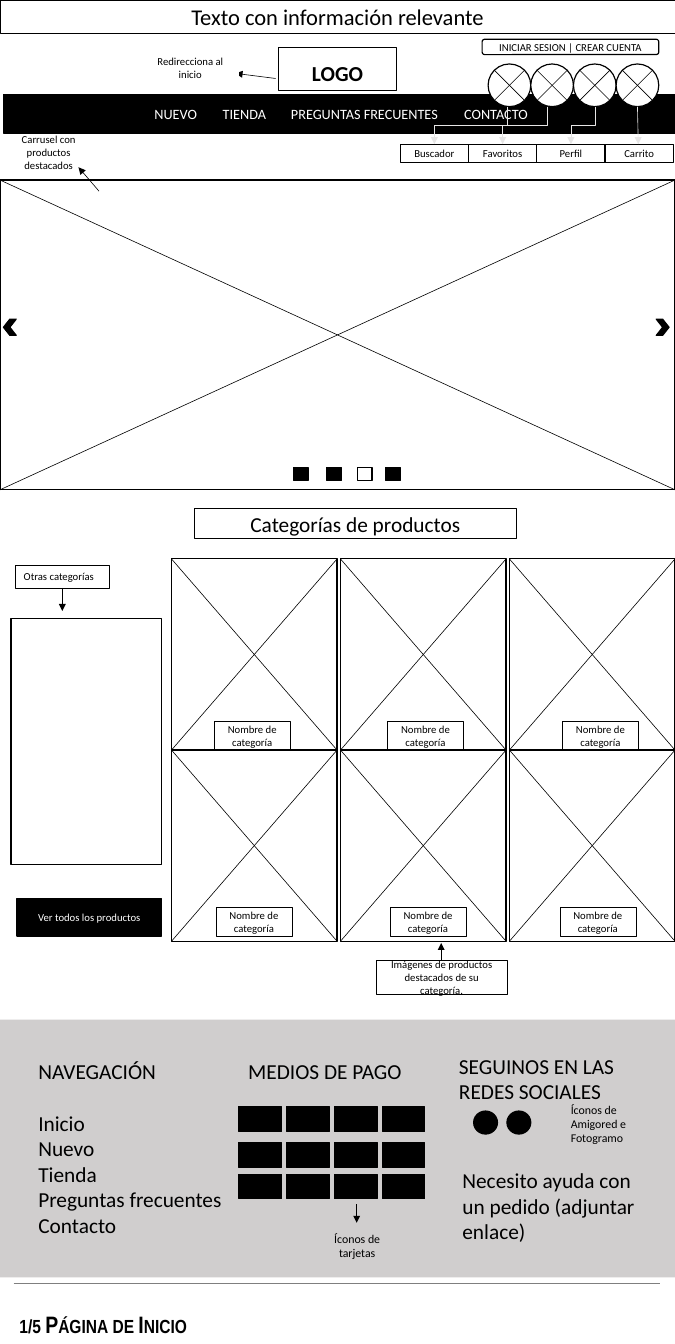
from lxml.etree import SubElement
from pptx import Presentation
from pptx.dml.color import RGBColor
from pptx.enum.shapes import MSO_CONNECTOR, MSO_SHAPE
from pptx.enum.text import MSO_ANCHOR, MSO_AUTO_SIZE, PP_ALIGN
from pptx.oxml.ns import qn
from pptx.util import Inches, Pt

BLACK = RGBColor(0, 0, 0)
WHITE = RGBColor(255, 255, 255)
PALE = RGBColor(0xE7, 0xE6, 0xE6)
BAND = RGBColor(0xD0, 0xCE, 0xCE)
RULE = RGBColor(0x7F, 0x7F, 0x7F)
WIDTH, HEIGHT = 7.91, 15.75
RECT, OVAL = MSO_SHAPE.RECTANGLE, MSO_SHAPE.OVAL


def write(sp, lines, size=9, color=BLACK, align=PP_ALIGN.CENTER, anchor=MSO_ANCHOR.MIDDLE,
          font="Calibri", bold=False):
    """Fill a shape with one run per paragraph and return the paragraphs."""
    tf = sp.text_frame
    tf.word_wrap, tf.vertical_anchor, tf.auto_size = True, anchor, MSO_AUTO_SIZE.NONE
    for i, line in enumerate(lines):
        p = tf.add_paragraph() if i else tf.paragraphs[0]
        p.alignment = align
        r = p.add_run()
        r.text = line
        r.font.name, r.font.size, r.font.bold = font, Pt(size), bold
        r.font.color.rgb = color
    return tf.paragraphs


def shape(s, x, y, w, h, text=None, kind=RECT, fill=WHITE, line=BLACK, weight=1, **style):
    """Add a flat preset shape with optional text."""
    sp = s.shapes.add_shape(kind, Inches(x), Inches(y), Inches(w), Inches(h))
    sp.shadow.inherit = False
    sp.fill.solid()
    sp.fill.fore_color.rgb = fill
    if line is None:
        sp.line.fill.background()
    else:
        sp.line.color.rgb, sp.line.width = line, Pt(weight)
    if text:
        write(sp, [text], **style)
    return sp


def label(s, x, y, w, h, *lines, size=18, align=PP_ALIGN.LEFT, **style):
    """Add a text box anchored at the top."""
    sp = s.shapes.add_textbox(Inches(x), Inches(y), Inches(w), Inches(h))
    return write(sp, lines, size=size, align=align, anchor=MSO_ANCHOR.TOP, **style)


def connect(s, x1, y1, x2, y2, color=BLACK, weight=0.5, arrow=False, kind=MSO_CONNECTOR.STRAIGHT):
    """Add a flat connector, with an arrowhead at its end if asked."""
    c = s.shapes.add_connector(kind, Inches(x1), Inches(y1), Inches(x2), Inches(y2))
    c.line.color.rgb, c.line.width = color, Pt(weight)
    if arrow:
        c.line._get_or_add_ln().append(
            c._element.makeelement(qn("a:tailEnd"), {"type": "triangle"}))
    SubElement(c._element.spPr, qn("a:effectLst"))
    return c


def drop_elbow(s, x1, y1, x2, y2):
    """Add an arrow that goes down, left and down again."""
    cx, cy, run, drop = (x1 + x2) / 2, (y1 + y2) / 2, x1 - x2, y2 - y1
    c = connect(s, cx - drop / 2, cy - run / 2, cx + drop / 2, cy + run / 2,
                PALE, arrow=True, kind=MSO_CONNECTOR.ELBOW)
    c._element.spPr.get_or_add_xfrm().set("rot", "5400000")


def cross(s, x, y, w, h):
    """Draw both diagonals of a box."""
    connect(s, x, y, x + w, y + h)
    connect(s, x, y + h, x + w, y)


def header(s, x, y, w):
    """Build the banner, logo and menu bar."""
    shape(s, x, y, w, 0.39, "Texto con información relevante", weight=0.75, size=19)
    bar = shape(s, x + 0.04, y + 1.11, w - 0.04, 0.45, fill=BLACK)
    p = write(bar, ["NUEVO\tTIENDA\tPREGUNTAS FRECUENTES\tCONTACTO"], 12, WHITE, PP_ALIGN.LEFT)[0]
    bar.text_frame.margin_left = Inches(1.77)
    tabs = SubElement(p._p.get_or_add_pPr(), qn("a:tabLst"))
    for stop in (0.8, 1.6, 3.63):
        SubElement(tabs, qn("a:tab"), pos=str(Inches(stop)), algn="l")

    logo = s.shapes.title
    logo.left, logo.top = Inches(x + 3.26), Inches(y + 0.56)
    logo.width, logo.height = Inches(1.39), Inches(0.5)
    logo.line.color.rgb, logo.line.width = BLACK, Pt(0.75)
    write(logo, ["LOGO"], 18, anchor=MSO_ANCHOR.BOTTOM, bold=True)[0].line_spacing = 0.9
    connect(s, x + 3.23, y + 0.92, x + 2.76, y + 0.86, arrow=True)
    shape(s, x + 1.66, y + 0.65, 1.14, 0.28, "Redirecciona al inicio", line=WHITE)


def account(s, x, y):
    """Build the sign-in button and the four icons with their names."""
    shape(s, x + 0.96, y, 2.07, 0.18, "INICIAR SESION | CREAR CUENTA",
          kind=MSO_SHAPE.ROUNDED_RECTANGLE)
    for i, name in enumerate(("Buscador", "Favoritos", "Perfil", "Carrito")):
        icon_x, name_x = x + 1.03 + 0.5 * i, x + 0.8 * i
        shape(s, icon_x, y + 0.29, 0.5, 0.5, kind=OVAL)
        cross(s, icon_x + 0.07, y + 0.36, 0.36, 0.36)
        shape(s, name_x, y + 1.23, 0.8, 0.21, name)
        if i < 3:
            drop_elbow(s, x + (1.26, 1.72, 2.28)[i], y + 0.79, name_x + 0.4, y + 1.23)
        else:
            connect(s, icon_x + 0.25, y + 0.79, icon_x + 0.26, y + 1.23, PALE, arrow=True)


def carousel(s, x, y, w, h):
    """Build the featured product carousel with its controls."""
    shape(s, x, y, w, h)
    cross(s, x, y, w, h)
    shape(s, x, y - 0.47, 1.14, 0.28, "Carrusel con productos destacados", line=WHITE)
    connect(s, x + 1.16, y + 0.13, x + 0.92, y - 0.15, arrow=True)
    for dot_x, fill in ((3.44, BLACK), (3.83, BLACK), (4.19, WHITE), (4.52, BLACK)):
        shape(s, x + dot_x, y + 3.37, 0.17, 0.15, fill=fill)
    for arrow_x, turn in ((0.04, 180), (w - 0.22, 0)):
        arrow = shape(s, x + arrow_x, y + 1.63, 0.15, 0.19, kind=MSO_SHAPE.CHEVRON, fill=BLACK)
        arrow.rotation = turn


def sidebar(s, x, y):
    """Build the list of other categories."""
    shape(s, x + 0.05, y, 1.1, 0.27, "Otras categorías", weight=0.25, align=PP_ALIGN.LEFT)
    connect(s, x + 0.6, y + 0.27, x + 0.6, y + 0.54, arrow=True)
    shape(s, x, y + 0.63, 1.76, 2.88)
    shape(s, x + 0.07, y + 3.91, 1.69, 0.44, "Ver todos los productos", fill=BLACK, color=WHITE)


def categories(s, x, y):
    """Build the heading and the grid of category cards."""
    shape(s, x + 0.27, y - 0.59, 3.77, 0.35, "Categorías de productos", size=18)
    card_w, card_h, step = 1.94, 2.24, 1.98
    rows = ((1.9, (0.5, 0.55, 0.62)), (1.84, (0.52, 0.58, 0.59)))
    for row, (name_y, offsets) in enumerate(rows):
        for col, name_x in enumerate(offsets):
            card_x, card_y = x + step * col, y + card_h * row
            shape(s, card_x, card_y, card_w, card_h)
            cross(s, card_x, card_y, card_w, card_h)
            shape(s, card_x + name_x, card_y + name_y, 0.89, 0.34, "Nombre de categoría",
                  weight=0.25)
    shape(s, x + 2.4, y + 4.7, 1.53, 0.4, "Imágenes de productos destacados de su categoría.",
          weight=0.25)
    connect(s, x + 3.16, y + 4.7, x + 3.16, y + 4.5, arrow=True)


def footer(s, x, y, w, h):
    """Build the navigation, payment and social columns."""
    shape(s, x, y, w, h, fill=BAND, line=None)
    menu = label(s, x + 0.35, y + 0.4, 2.48, 2.22, "NAVEGACIÓN", "Inicio", "Nuevo", "Tienda",
                 "Preguntas frecuentes", "Contacto")
    menu[0].space_after = Pt(22)

    label(s, x + 2.81, y + 0.4, 2.48, 0.4, "MEDIOS DE PAGO")
    for card_y in (1.02, 1.44, 1.81):
        for col in range(4):
            shape(s, x + 2.8 + 0.56 * col, y + card_y, 0.5, 0.29, fill=BLACK)
    connect(s, x + 4.18, y + 2.16, x + 4.18, y + 2.38, arrow=True)
    label(s, x + 3.74, y + 2.43, 0.89, 0.44, "Íconos de tarjetas", size=10, align=PP_ALIGN.CENTER)

    label(s, x + 5.28, y + 0.34, 2.48, 1.01, "SEGUINOS EN LAS REDES SOCIALES")
    for icon_x in (5.55, 5.94):
        shape(s, x + icon_x, y + 1.07, 0.28, 0.27, kind=OVAL, fill=BLACK)
    label(s, x + 6.59, y + 0.92, 0.89, 0.61, "Íconos de Amigored e Fotogramo", size=10)
    label(s, x + 5.32, y + 1.68, 2.48, 1.31, "Necesito ayuda con un pedido (adjuntar enlace)")


def caption(s, x, y, w):
    """Build the rule and the page name."""
    connect(s, x + 0.16, y, x + w - 0.17, y, RULE, 1)
    p = label(s, x + 0.13, y + 0.26, 6.3, 0.44, "1/5 Página de Inicio", size=20,
              font="Arial Narrow", bold=True)[0]
    p.runs[0]._r.get_or_add_rPr().set("cap", "small")


prs = Presentation()
prs.slide_width, prs.slide_height = Inches(WIDTH), Inches(HEIGHT)
s = prs.slides.add_slide(prs.slide_layouts[5])
header(s, 0, 0, WIDTH)
account(s, 4.69, 0.46)
carousel(s, 0, 2.11, WIDTH, 3.63)
sidebar(s, 0.13, 6.62)
categories(s, 2.01, 6.55)
footer(s, 0, 11.95, WIDTH, 3.02)
caption(s, 0, 15.04, WIDTH)
prs.save("out.pptx")
